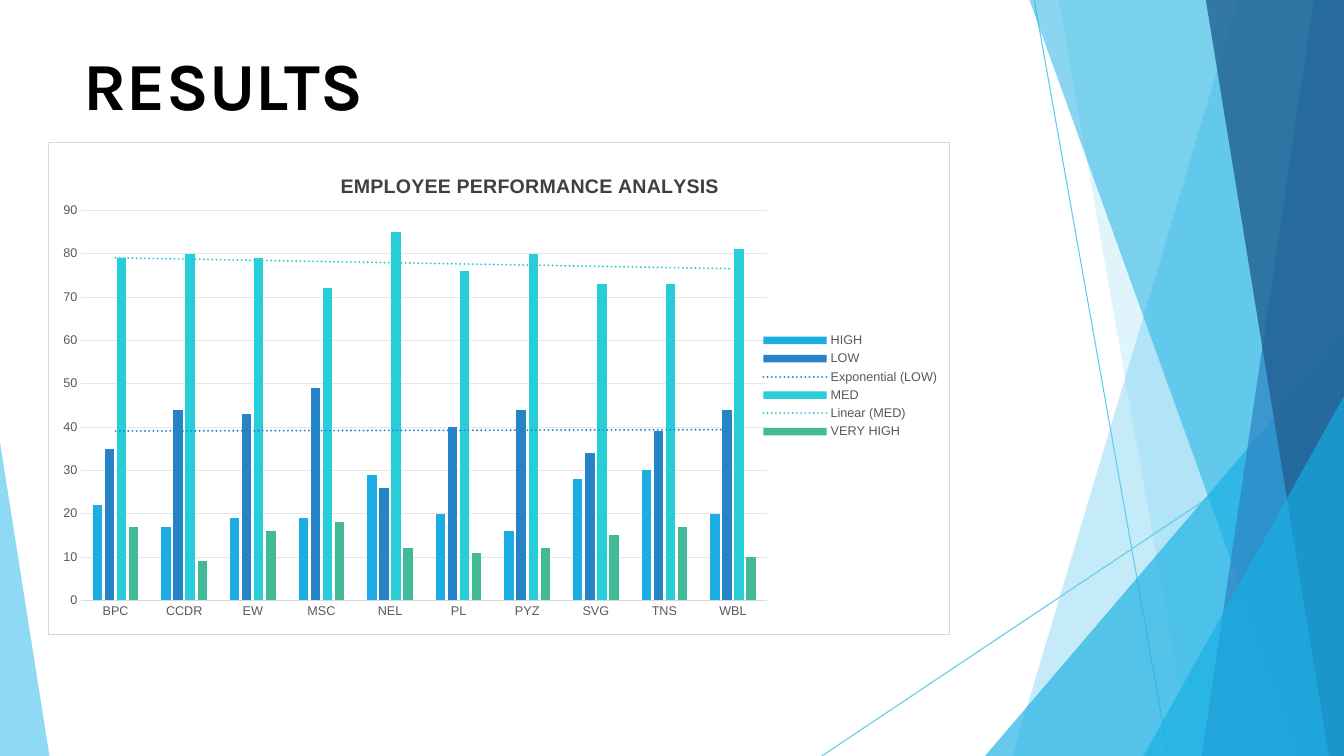
from dataclasses import dataclass

from lxml import etree
from pptx import Presentation
from pptx import oxml
from pptx.chart import data as chart_data
from pptx.dml import color
from pptx.enum import chart as chart_enum, shapes, text
from pptx.oxml import ns
from pptx.util import Inches, Pt


@dataclass(frozen=True)
class Theme:
    black: str = "000000"
    white: str = "FFFFFF"
    heading: str = "404040"
    label: str = "595959"
    border: str = "D9D9D9"
    grid: str = "E6E6E6"
    sky: str = "5FCAEE"
    cyan: str = "17AFE3"
    blue: str = "2D83C3"
    navy: str = "226192"
    series: tuple = ("1CADE4", "2683C6", "27CED7", "42BA97")
    title_font: str = "Karla"
    chart_font: str = "Arial"
    title_size: int = 48
    heading_size: int = 14
    label_size: int = 9


theme = Theme()
WIDTH, HEIGHT = 13.33, 7.5


def style_font(font, name, size, colour, bold=False):
    font.name, font.size, font.bold = name, Pt(size), bold
    font.color.rgb = color.RGBColor.from_string(colour)


def chart_xml(tag, body):
    """Parse one chart element with the chart and drawing namespaces."""
    return oxml.parse_xml(f"<c:{tag} {ns.nsdecls('c', 'a')}>{body}</c:{tag}>")


presentation = Presentation()
presentation.slide_width, presentation.slide_height = Inches(WIDTH), Inches(HEIGHT)
slide = presentation.slides.add_slide(presentation.slide_layouts[5])

# Thin crossing lines
for x1, y1, x2, y2 in [(10.26, 0.01, 11.59, HEIGHT), (WIDTH, 4.04, 8.15, HEIGHT)]:
    line = slide.shapes.add_connector(
        shapes.MSO_CONNECTOR.STRAIGHT, Inches(x1), Inches(y1), Inches(x2), Inches(y2))
    line.line.color.rgb = color.RGBColor.from_string(theme.sky)
    line.line.width = Pt(0.75)
    etree.SubElement(line._element.spPr, ns.qn("a:effectLst"))

# Translucent facets: points, colour, opacity in percent
corner = (WIDTH, HEIGHT)
facets = [
    ([(WIDTH, 0), (12.28, 0), (10.04, HEIGHT), corner], theme.sky, 36),
    ([(WIDTH, 0), (10.5, 0), (11.82, HEIGHT), corner], theme.sky, 20),
    ([(WIDTH, 3.33), (9.77, HEIGHT), corner], theme.cyan, 65),
    ([(WIDTH, 0), (10.21, 0), (12.91, HEIGHT), corner], theme.cyan, 50),
    ([(WIDTH, 0), (13.03, 0), (11.92, HEIGHT), corner], theme.blue, 70),
    ([(WIDTH, 0), (11.96, 0), (13.18, HEIGHT), corner], theme.navy, 80),
    ([(WIDTH, 3.93), (11.34, HEIGHT), corner], theme.cyan, 65),
    ([(0, 4.39), (0, HEIGHT), (0.49, HEIGHT)], theme.sky, 70),
]
for points, colour, opacity in facets:
    start, *rest = [(Inches(x), Inches(y)) for x, y in points]
    builder = slide.shapes.build_freeform(*start)
    builder.add_line_segments(rest, close=True)
    facet = builder.convert_to_shape()
    facet.shadow.inherit = False
    facet.line.fill.background()
    facet.fill.solid()
    facet.fill.fore_color.rgb = color.RGBColor.from_string(colour)
    rgb = facet._element.spPr.find(".//" + ns.qn("a:srgbClr"))
    etree.SubElement(rgb, ns.qn("a:alpha"), val=str(opacity * 1000))

# Title
title = slide.shapes.title
title.left, title.top, title.width, title.height = map(Inches, (0.83, 0.42, 3.24, 0.82))
frame = title.text_frame
frame.margin_left = frame.margin_right = frame.margin_bottom = 0
frame.margin_top = Inches(0.01)
frame.vertical_anchor = text.MSO_ANCHOR.TOP
frame.auto_size = text.MSO_AUTO_SIZE.NONE
frame.word_wrap = True
paragraph = frame.paragraphs[0]
paragraph.alignment = text.PP_ALIGN.LEFT
run = paragraph.add_run()
run.text = "RESULTS"
style_font(run.font, theme.title_font, theme.title_size, theme.black, bold=True)

# Performance chart
performance = chart_data.CategoryChartData()
performance.categories = ["BPC", "CCDR", "EW", "MSC", "NEL", "PL", "PYZ", "SVG", "TNS", "WBL"]
performance.add_series("HIGH", [22, 17, 19, 19, 29, 20, 16, 28, 30, 20])
performance.add_series("LOW", [35, 44, 43, 49, 26, 40, 44, 34, 39, 44])
performance.add_series("MED", [79, 80, 79, 72, 85, 76, 80, 73, 73, 81])
performance.add_series("VERY HIGH", [17, 9, 16, 18, 12, 11, 12, 15, 17, 10])
chart = slide.shapes.add_chart(
    chart_enum.XL_CHART_TYPE.COLUMN_CLUSTERED,
    Inches(0.48), Inches(1.41), Inches(8.94), Inches(4.89), performance).chart
style_font(chart.font, theme.chart_font, theme.label_size, theme.label)

chart.has_title = True
run = chart.chart_title.text_frame.paragraphs[0].add_run()
run.text = "EMPLOYEE PERFORMANCE ANALYSIS"
style_font(run.font, theme.chart_font, theme.heading_size, theme.heading, bold=True)

chart.has_legend = True
chart.legend.position = chart_enum.XL_LEGEND_POSITION.RIGHT
chart.legend.include_in_layout = False
style_font(chart.legend.font, theme.chart_font, theme.label_size, theme.label)

# Series and trend lines
plot = chart.plots[0]
plot.gap_width, plot.overlap, plot.vary_by_categories = 246, -28, False
trends = {"LOW": "exp", "MED": "linear"}
for series, colour in zip(plot.series, theme.series):
    series.format.fill.solid()
    series.format.fill.fore_color.rgb = color.RGBColor.from_string(colour)
    if series.name in trends:
        series._element.find(ns.qn("c:cat")).addprevious(chart_xml(
            "trendline",
            f'<c:spPr><a:ln w="{Pt(1.5)}" cap="rnd"><a:solidFill><a:srgbClr val="{colour}"/>'
            '</a:solidFill><a:prstDash val="sysDot"/></a:ln></c:spPr>'
            f'<c:trendlineType val="{trends[series.name]}"/>'
            '<c:dispRSqr val="0"/><c:dispEq val="0"/>'))

# Axes
for axis in (chart.category_axis, chart.value_axis):
    axis.major_tick_mark = axis.minor_tick_mark = chart_enum.XL_TICK_MARK.NONE
    style_font(axis.tick_labels.font, theme.chart_font, theme.label_size, theme.label)
values = chart.value_axis
values.minimum_scale, values.maximum_scale, values.major_unit = 0, 90, 10
values.format.line.fill.background()
values.has_major_gridlines = True
for line, colour in [(chart.category_axis.format.line, theme.border),
                     (values.major_gridlines.format.line, theme.grid)]:
    line.color.rgb = color.RGBColor.from_string(colour)
    line.width = Pt(0.75)

# Chart frame
chart._chartSpace.find(ns.qn("c:txPr")).addprevious(chart_xml(
    "spPr",
    f'<a:solidFill><a:srgbClr val="{theme.white}"/></a:solidFill><a:ln w="{Pt(0.75)}">'
    f'<a:solidFill><a:srgbClr val="{theme.border}"/></a:solidFill></a:ln>'))

# Placement inside the chart, as fractions of its size
chart_root = chart._chartSpace.chart
placements = [
    ("plotArea", None, "inner", dict(x=0.036, y=0.138, w=0.762, h=0.793)),
    ("title", "tx", None, dict(x=0.32, y=0.055)),
    ("legend", "legendPos", None, dict(x=0.79, y=0.38, w=0.2, h=0.23)),
]
for part, previous, target, box in placements:
    element = chart_root.find(ns.qn("c:" + part))
    for old in element.findall(ns.qn("c:layout")):
        element.remove(old)
    body = f'<c:layoutTarget val="{target}"/>' if target else ""
    body += "".join(f'<c:{key}Mode val="edge"/>' for key in "xy")
    body += "".join(f'<c:{key} val="{value}"/>' for key, value in box.items())
    layout = chart_xml("layout", f"<c:manualLayout>{body}</c:manualLayout>")
    if previous:
        element.find(ns.qn("c:" + previous)).addnext(layout)
    else:
        element.insert(0, layout)

presentation.save("out.pptx")
